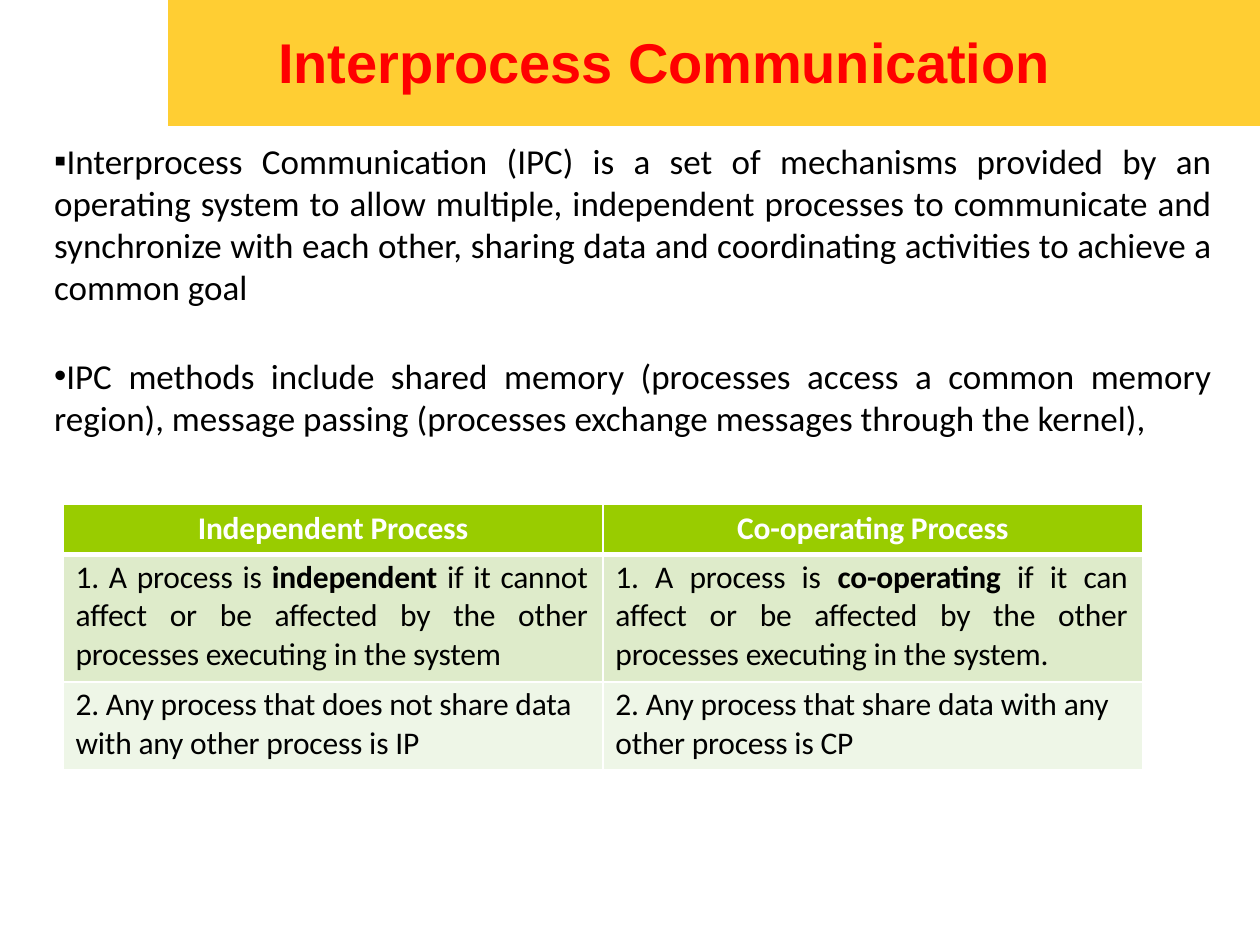
from dataclasses import dataclass
from lxml.etree import SubElement as Sub
from pptx import Presentation
from pptx.dml.color import RGBColor as RGB
from pptx.enum.shapes import MSO_SHAPE as Shape
from pptx.enum.text import MSO_ANCHOR as Anchor, MSO_AUTO_SIZE as Auto, PP_ALIGN as Align
from pptx.oxml.ns import qn
from pptx.util import Inches, Pt


@dataclass(frozen=True)
class Theme:
    band: str = "FFCE33"
    title: str = "FF0000"
    ink: str = "000000"
    white: str = "FFFFFF"
    fills: tuple = ("99CC00", "DEEBCA", "EEF6E7")
    head: str = "Arial"
    body: str = "Calibri"
    big: int = 32
    mid: int = 20
    small: int = 18


T = Theme()
WIDE, HIGH = 10, 7.5
POINTS = [
    ("▪", 1.1, "Interprocess Communication (IPC) is a set of mechanisms provided by an "
     "operating system to allow multiple, independent processes to communicate and "
     "synchronize with each other, sharing data and coordinating activities to achieve "
     "a common goal"),
    ("•", 26.6, "IPC methods include shared memory (processes access a common memory "
     "region), message passing (processes exchange messages through the kernel),"),
]
SHARED = "affect or be affected by the other processes executing in the system"
ROWS = [
    [[("Independent Process", True)], [("Co-operating Process", True)]],
    [[("1. A process is ", False), ("independent ", True),
      (f"if it cannot {SHARED}", False)],
     [("1. A process is ", False), ("co-operating ", True),
      (f"if it can {SHARED}.", False)]],
    [[("2. Any process that does not share data with any other process is IP", False)],
     [("2. Any process that share data with any other process is CP", False)]],
]


def add_run(para, text, font, size, color, bold=False, track=0):
    run = para.add_run()
    run.text = text
    run.font.name, run.font.size, run.font.bold = font, Pt(size), bold
    run.font.color.rgb = RGB.from_string(color)
    if track:
        run.font._element.set("spc", str(track))


def set_frame(frame):
    frame.word_wrap = True
    frame.auto_size = Auto.NONE
    frame.vertical_anchor = Anchor.TOP
    frame.margin_left = frame.margin_right = frame.margin_bottom = 0
    frame.margin_top = Inches(0.01)


def set_para(para, align, before, left=0.01, mark=None):
    para.alignment = align
    para.space_before = Pt(before)
    props = para._p.get_or_add_pPr()
    props.set("marL", str(Inches(left)))
    props.set("indent", "0")
    if mark:
        Sub(props, qn("a:buFont"), typeface="Arial")
        Sub(props, qn("a:buChar"), char=mark)


def set_edge(cell, side, width):
    line = Sub(cell._tc.get_or_add_tcPr(), qn(f"a:ln{side}"), w=str(Pt(width)))
    Sub(Sub(line, qn("a:solidFill")), qn("a:srgbClr"), val=T.white)


def add_header(slide, left, top, width, height):
    band = slide.shapes.add_shape(
        Shape.RECTANGLE, Inches(left), Inches(top), Inches(width), Inches(height))
    band.shadow.inherit = False
    band.fill.solid()
    band.fill.fore_color.rgb = RGB.from_string(T.band)
    band.line.fill.background()
    title = slide.shapes.title
    title._element.addprevious(band._element)
    title.left, title.top = Inches(left + width * 0.1), Inches(top + height * 0.21)
    title.width, title.height = Inches(width * 0.71), Inches(height * 0.56)
    set_frame(title.text_frame)
    para = title.text_frame.paragraphs[0]
    set_para(para, Align.LEFT, 1.1)
    add_run(para, "Interprocess Communication", T.head, T.big, T.title, True, -10)


def add_points(slide, left, top, width, height):
    box = slide.shapes.add_textbox(Inches(left), Inches(top), Inches(width), Inches(height))
    frame = box.text_frame
    set_frame(frame)
    for i, (mark, gap, text) in enumerate(POINTS):
        para = frame.add_paragraph() if i else frame.paragraphs[0]
        set_para(para, Align.JUSTIFY, gap, mark=mark)
        add_run(para, text, T.body, T.mid, T.ink)


def fill_cell(cell, runs, row):
    for side in "LRTB":
        thick = (row, side) in ((0, "B"), (1, "T"))
        set_edge(cell, side, 3 if thick else 1)
    cell.fill.solid()
    cell.fill.fore_color.rgb = RGB.from_string(T.fills[row])
    cell.margin_left = cell.margin_bottom = 0
    cell.margin_right = Inches(0.12 if row else 0)
    cell.margin_top = Inches(0.03 if row else 0.04)
    para = cell.text_frame.paragraphs[0]
    align = (Align.CENTER, Align.JUSTIFY, Align.LEFT)[row]
    set_para(para, align, 2.5, left=0.1 if row else 0)
    for text, bold in runs:
        add_run(para, text, T.body, T.small, T.ink if row else T.white, bold, -10)


def add_grid(slide, left, top, width, height):
    grid = slide.shapes.add_table(
        len(ROWS), len(ROWS[0]), Inches(left), Inches(top),
        Inches(width), Inches(height)).table
    for row, share in zip(grid.rows, (0.19, 0.48, 0.33)):
        row.height = Inches(height * share)
    for r, cells in enumerate(ROWS):
        for c, runs in enumerate(cells):
            fill_cell(grid.cell(r, c), runs, r)


def main():
    deck = Presentation()
    deck.slide_width, deck.slide_height = Inches(WIDE), Inches(HIGH)
    slide = deck.slides.add_slide(deck.slide_layouts.get_by_name("Title Only"))
    add_header(slide, WIDE * 2 / 15, 0, WIDE * 13 / 15, HIGH * 2 / 15)
    add_points(slide, 0.42, 1.1, 9.2, 2.4)
    add_grid(slide, 0.5, 4, 8.57, 2.11)
    deck.save("out.pptx")


if __name__ == "__main__":
    main()
